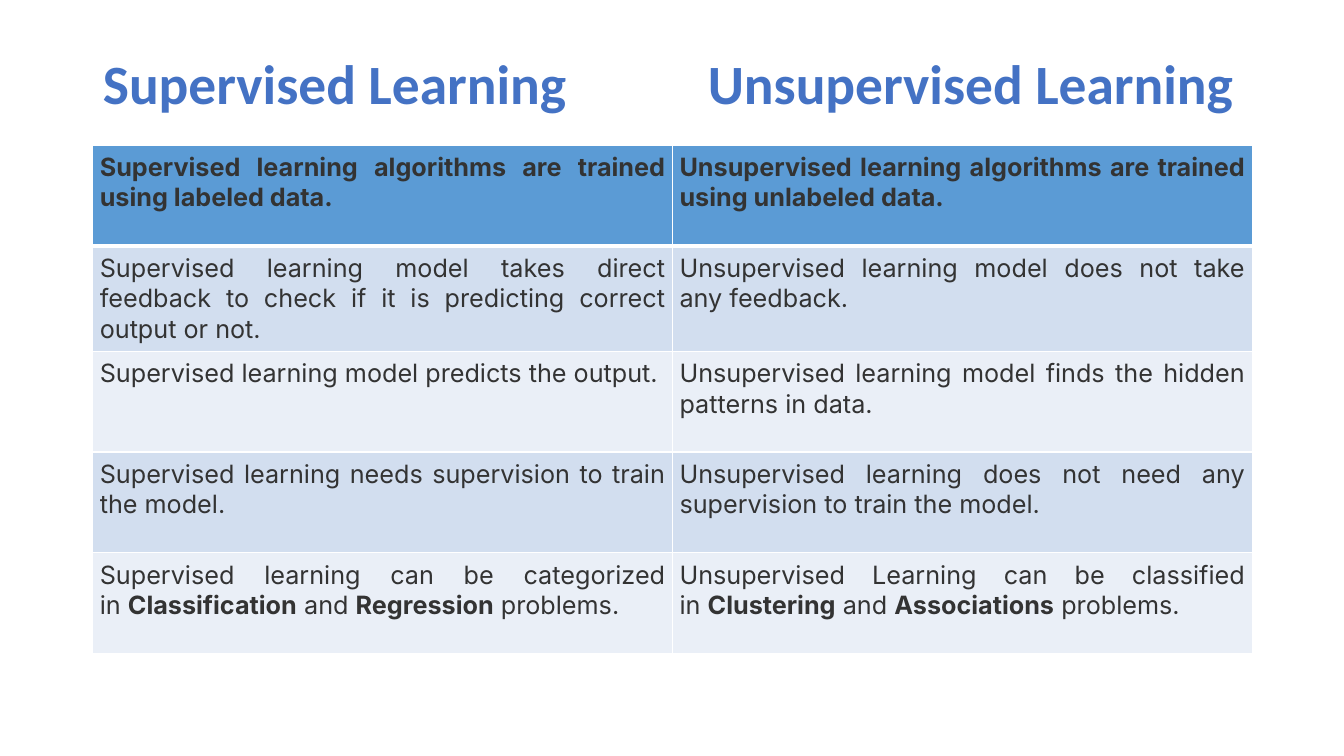
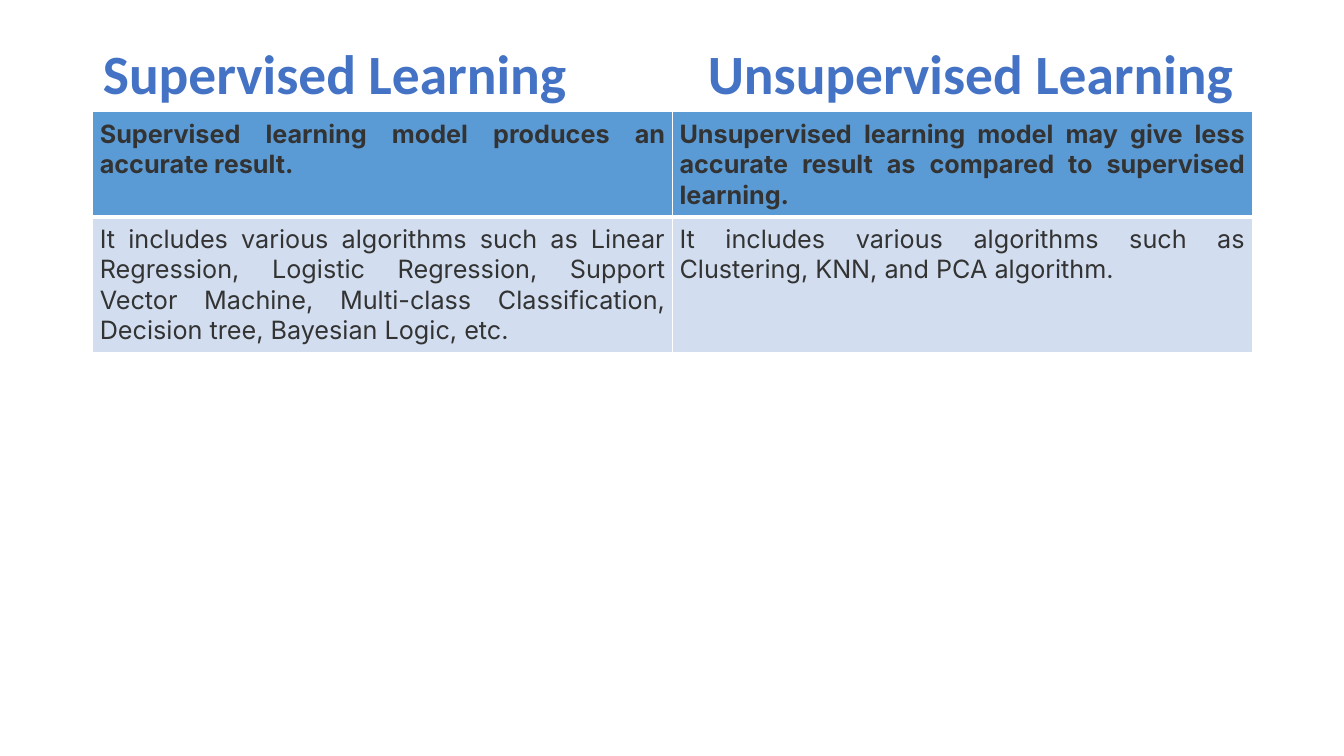
from lxml.etree import SubElement
from pptx import Presentation
from pptx.dml.color import RGBColor
from pptx.enum.text import MSO_ANCHOR, MSO_AUTO_SIZE, PP_ALIGN
from pptx.oxml.ns import qn
from pptx.util import Inches, Pt

# Content: title height, table top, row heights and rows; ** marks bold words
TITLE = "Supervised Learning\t\tUnsupervised Learning"
SLIDES = [
    dict(title_height=0.91, table_top=1.44, row_heights=[1, 1, 1, 1, 1], rows=[
        ("Supervised learning algorithms are trained using labeled data.",
         "Unsupervised learning algorithms are trained using unlabeled data."),
        ("Supervised learning model takes direct feedback to check if it is "
         "predicting correct output or not.",
         "Unsupervised learning model does not take any feedback."),
        ("Supervised learning model predicts the output.",
         "Unsupervised learning model finds the hidden patterns in data."),
        ("Supervised learning needs supervision to train the model.",
         "Unsupervised learning does not need any supervision to train the model."),
        ("Supervised learning can be categorized in **Classification** and "
         "**Regression** problems.",
         "Unsupervised Learning can be classified in **Clustering** and "
         "**Associations** problems."),
    ]),
    dict(title_height=0.71, table_top=1.11, row_heights=[1.03, 1.05], rows=[
        ("Supervised learning model produces an accurate result.",
         "Unsupervised learning model may give less accurate result as compared "
         "to supervised learning."),
        ("It includes various algorithms such as Linear Regression, Logistic "
         "Regression, Support Vector Machine, Multi-class Classification, "
         "Decision tree, Bayesian Logic, etc.",
         "It includes various algorithms such as Clustering, KNN, and PCA algorithm."),
    ]),
]

# Shared style
TITLE_BLUE = RGBColor(0x44, 0x72, 0xC4)
TEXT_GRAY = RGBColor(0x33, 0x33, 0x33)
WHITE = RGBColor(0xFF, 0xFF, 0xFF)
HEADER_FILL = RGBColor(0x5B, 0x9B, 0xD5)
BAND_FILLS = [RGBColor(0xD2, 0xDE, 0xEF), RGBColor(0xEA, 0xEF, 0xF7)]
LEFT, WIDTH, TITLE_TOP = Inches(0.92), Inches(11.5), Inches(0.4)
CELL_MARGIN = Inches(0.07)
TAB_STOPS = [Inches(5), Inches(6)]
NO_BREAK_SPACE = chr(160)


def write_text(frame, text, *, font, size, color, bold=False,
               align=PP_ALIGN.LEFT, line_spacing=None, tab_stops=()):
    """Fill the first paragraph; bold words are tied to their neighbours."""
    paragraph = frame.paragraphs[0]
    if tab_stops:
        tab_list = SubElement(paragraph._p.get_or_add_pPr(), qn("a:tabLst"))
        for position in tab_stops:
            SubElement(tab_list, qn("a:tab"), pos=str(position), algn="l")
    paragraph.alignment = align
    if line_spacing:
        paragraph.line_spacing = line_spacing
    text = text.replace(" **", NO_BREAK_SPACE + "**")
    text = text.replace("** ", "**" + NO_BREAK_SPACE)
    for index, part in enumerate(text.split("**")):
        run = paragraph.add_run()
        run.text = part
        run.font.name = font
        run.font.size = Pt(size)
        run.font.color.rgb = color
        run.font.bold = bold or index % 2 == 1


def set_borders(cell, **widths):
    """Draw white borders; they must stand before the fill."""
    properties = cell._tc.get_or_add_tcPr()
    for index, side in enumerate("LRTB"):
        line = SubElement(properties, qn("a:ln" + side),
                          w=str(Pt(widths.get(side, 1))))
        fill = SubElement(line, qn("a:solidFill"))
        SubElement(fill, qn("a:srgbClr"), val=str(WHITE))
        properties.insert(index, line)


def add_title(slide, height):
    title = slide.shapes.title
    title.left, title.top = LEFT, TITLE_TOP
    title.width, title.height = WIDTH, Inches(height)
    frame = title.text_frame
    frame.word_wrap = True
    frame.auto_size = MSO_AUTO_SIZE.NONE
    frame.vertical_anchor = MSO_ANCHOR.MIDDLE
    write_text(frame, TITLE, font="Calibri", size=39.6, color=TITLE_BLUE,
               bold=True, line_spacing=0.9, tab_stops=TAB_STOPS)


def add_comparison(slide, top, row_heights, rows):
    table = slide.shapes.add_table(
        len(rows), len(rows[0]), LEFT, Inches(top), WIDTH,
        Inches(sum(row_heights))).table
    for row_index, (height, texts) in enumerate(zip(row_heights, rows)):
        table.rows[row_index].height = Inches(height)
        header = row_index == 0
        for column_index, text in enumerate(texts):
            cell = table.cell(row_index, column_index)
            cell.margin_left = cell.margin_right = CELL_MARGIN
            cell.margin_top = cell.margin_bottom = CELL_MARGIN
            cell.fill.solid()
            cell.fill.fore_color.rgb = (
                HEADER_FILL if header else BAND_FILLS[(row_index - 1) % 2])
            # The rule under the header is thicker
            set_borders(cell, B=3 if header else 1, T=3 if row_index == 1 else 1)
            write_text(cell.text_frame, text, font="Inter", size=18,
                       color=TEXT_GRAY, bold=header, align=PP_ALIGN.JUSTIFY)


def main():
    presentation = Presentation()
    presentation.slide_width = Inches(13.33)
    presentation.slide_height = Inches(7.5)
    title_only = presentation.slide_layouts[5]
    for content in SLIDES:
        slide = presentation.slides.add_slide(title_only)
        add_title(slide, content["title_height"])
        add_comparison(slide, content["table_top"], content["row_heights"],
                       content["rows"])
    presentation.save("out.pptx")


if __name__ == "__main__":
    main()
